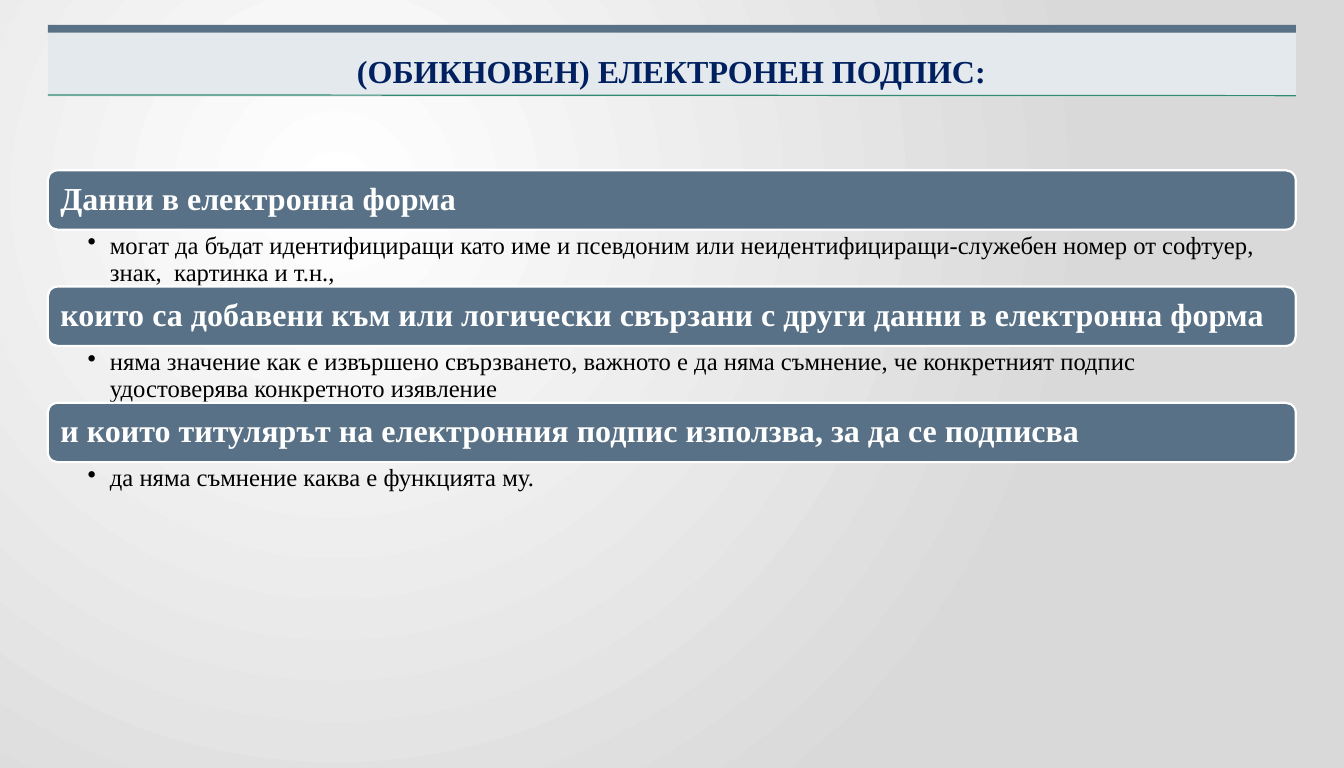
"""Build a slide on the ordinary electronic signature: a title band and three headed points."""
from lxml.etree import SubElement
from pptx import Presentation
from pptx.dml.color import RGBColor
from pptx.enum.shapes import MSO_CONNECTOR as Connector, MSO_SHAPE as Shape
from pptx.enum.text import MSO_ANCHOR as Anchor, PP_ALIGN as Align
from pptx.oxml.ns import qn
from pptx.util import Cm, Pt


def color(value):
    return RGBColor.from_string(value)


def write(box, text, font, spacing, margins, bullet=False):
    frame = box.text_frame
    frame.word_wrap = True
    sides = ("margin_left", "margin_top", "margin_right", "margin_bottom")
    for side, margin in zip(sides, margins):
        setattr(frame, side, Cm(margin))
    para = frame.paragraphs[0]
    para.line_spacing = spacing
    if bullet:
        para.level = 1
        properties = para._p.get_or_add_pPr()
        properties.set("marL", str(Cm(0.64)))
        properties.set("indent", str(-Cm(0.64)))
        SubElement(properties, qn("a:buChar"), char="•")
    span = para.add_run()
    span.text = text
    span.font.color.rgb = color(font["color"])
    for name in ("name", "size", "bold"):
        setattr(span.font, name, font[name])
    return para


FACE = "Times New Roman"
TITLE = {"name": FACE, "size": Pt(26), "bold": True, "color": "002060"}
HEADING = {**TITLE, "color": "FFFFFF"}
DETAIL = {"name": FACE, "size": Pt(20), "bold": False, "color": "000000"}
SLATE = "587186"
LEFT, WIDTH = 1.37, 35.76
TOP, PITCH, BAR_HEIGHT = 4.88, 3.33, 1.7

POINTS = [
    ("Данни в електронна форма",
     "могат да бъдат идентифициращи като име и псевдоним или "
     "неидентифициращи-служебен номер от софтуер, знак,  картинка и т.н.,", 1.65),
    ("които са добавени към или логически свързани с други данни в електронна форма",
     "няма значение как е извършено свързването, важното е да няма съмнение, "
     "че конкретният подпис удостоверява конкретното изявление", 1.65),
    ("и които титулярът на електронния подпис използва, за да се подписва",
     "да няма съмнение каква е функцията му.", 1.19),
]

deck = Presentation()
deck.slide_width, deck.slide_height = Cm(38.51), Cm(22)
page = deck.slides.add_slide(deck.slide_layouts[6])

backdrop = page.background.fill
backdrop.gradient()
for stop, (position, value) in zip(backdrop.gradient_stops, [(0, "FFFFFF"), (1, "D9D9D9")]):
    stop.position = position
    stop.color.rgb = color(value)
gradient = page._element.find(".//" + qn("a:gradFill"))
gradient.remove(gradient.find(qn("a:lin")))
circle = SubElement(gradient, qn("a:path"), path="circle")
SubElement(circle, qn("a:fillToRect"), l="50000", t="50000", r="100000", b="100000")

for top, height, value in [(0.94, 1.83, "E3E9ED"), (0.71, 0.23, SLATE)]:
    band = page.shapes.add_shape(Shape.RECTANGLE, Cm(LEFT), Cm(top), Cm(WIDTH), Cm(height))
    band.shadow.inherit = False
    band.fill.solid()
    band.fill.fore_color.rgb = color(value)
    band.line.fill.background()

rule = page.shapes.add_connector(
    Connector.STRAIGHT, Cm(LEFT), Cm(2.72), Cm(LEFT + WIDTH), Cm(2.74))
rule.line.color.rgb = color("328B71")
rule.line.width = Pt(1)
SubElement(rule._element.spPr, qn("a:effectLst"))

title = page.shapes.add_textbox(Cm(LEFT), Cm(0.81), Cm(WIDTH), Cm(1.93))
para = write(title, "(ОБИКНОВЕН) ЕЛЕКТРОНЕН ПОДПИС:", TITLE, 1.5, (0.25, 0.13, 0.25, 0.13))
para.alignment = Align.CENTER

for index, (heading, detail, detail_height) in enumerate(POINTS):
    top = TOP + index * PITCH
    bar = page.shapes.add_shape(
        Shape.ROUNDED_RECTANGLE, Cm(LEFT), Cm(top), Cm(WIDTH), Cm(BAR_HEIGHT))
    bar.shadow.inherit = False
    bar.fill.solid()
    bar.fill.fore_color.rgb = color(SLATE)
    bar.line.color.rgb = color("FFFFFF")
    bar.line.width = Pt(1.75)
    bar.text_frame.vertical_anchor = Anchor.MIDDLE
    para = write(bar, heading, HEADING, 0.9, (0.28,) * 4)
    para.alignment = Align.LEFT

    box = page.shapes.add_textbox(
        Cm(LEFT), Cm(top + BAR_HEIGHT), Cm(WIDTH), Cm(detail_height))
    write(box, detail, DETAIL, 0.9, (1.14, 0.1, 0.51, 0.1), bullet=True)

deck.save("out.pptx")
